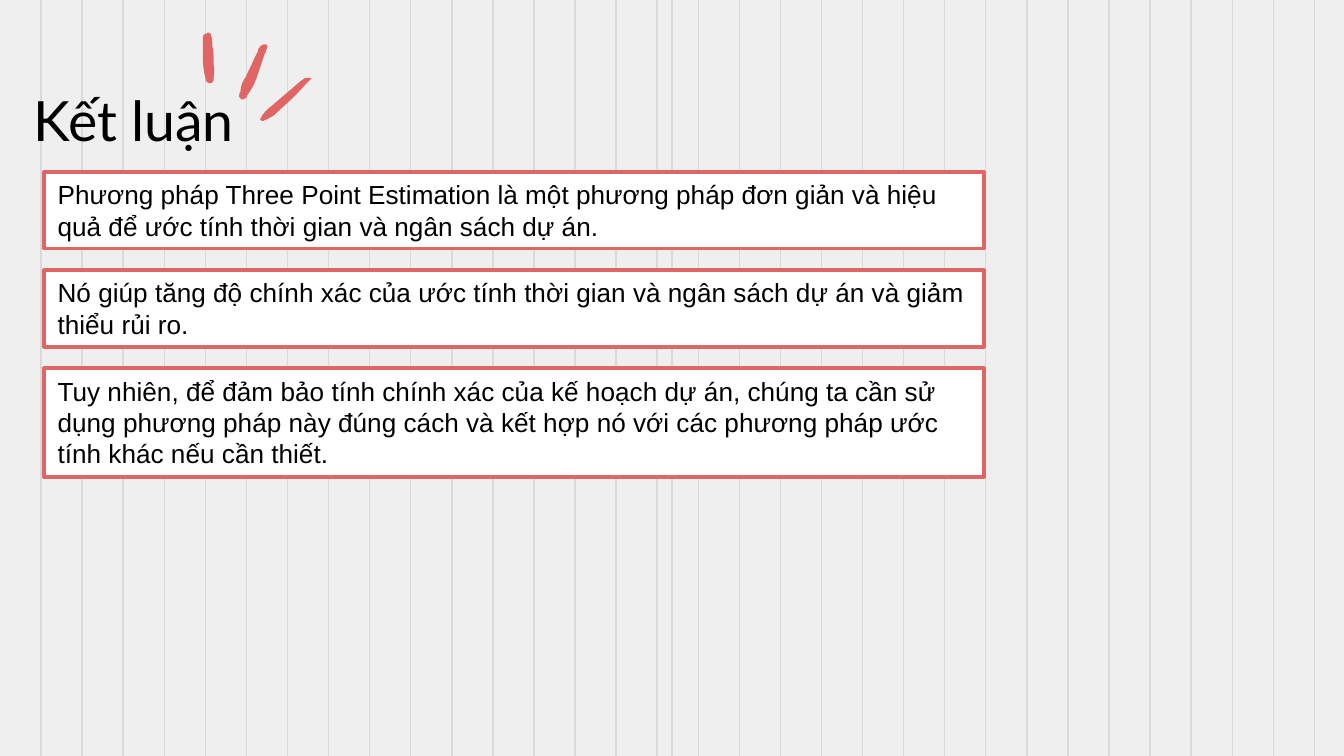
from lxml.etree import SubElement
from pptx import Presentation
from pptx.dml.color import RGBColor
from pptx.enum.shapes import MSO_CONNECTOR, MSO_SHAPE
from pptx.enum.text import MSO_ANCHOR, PP_ALIGN
from pptx.oxml.ns import qn
from pptx.util import Inches, Pt

PAPER = RGBColor(0xEF, 0xEF, 0xEF)
RULE = RGBColor(0xD9, 0xD9, 0xD9)
CORAL = RGBColor(0xE0, 0x66, 0x66)
WHITE = RGBColor(0xFF, 0xFF, 0xFF)
BLACK = RGBColor(0, 0, 0)

TITLE = "Kết luận"
# text, number of lines
NOTES = [
    ("Phương pháp Three Point Estimation là một phương pháp đơn giản và hiệu quả "
     "để ước tính thời gian và ngân sách dự án.", 2),
    ("Nó giúp tăng độ chính xác của ước tính thời gian và ngân sách dự án và giảm "
     "thiểu rủi ro.", 2),
    ("Tuy nhiên, để đảm bảo tính chính xác của kế hoạch dự án, chúng ta cần sử dụng "
     "phương pháp này đúng cách và kết hợp nó với các phương pháp ước tính khác nếu "
     "cần thiết.", 3),
]
# Each stroke: a start point, then one row (two handles, one end) per curve
STROKES = [
    ((1.81, 0.74), [
        (1.82, 0.73, 1.84, 0.73, 1.84, 0.71), (1.87, 0.67, 1.89, 0.63, 1.91, 0.58),
        (1.93, 0.52, 1.95, 0.46, 1.97, 0.40), (1.98, 0.39, 1.98, 0.37, 1.99, 0.35),
        (1.99, 0.34, 1.99, 0.34, 1.98, 0.33), (1.97, 0.33, 1.97, 0.33, 1.96, 0.33),
        (1.95, 0.34, 1.93, 0.34, 1.93, 0.36), (1.92, 0.36, 1.92, 0.37, 1.92, 0.38),
        (1.89, 0.44, 1.86, 0.51, 1.83, 0.57), (1.81, 0.60, 1.79, 0.64, 1.79, 0.68),
        (1.78, 0.69, 1.78, 0.71, 1.78, 0.72), (1.79, 0.73, 1.79, 0.74, 1.80, 0.74)]),
    ((1.56, 0.62), [
        (1.58, 0.62, 1.58, 0.61, 1.59, 0.60), (1.59, 0.56, 1.60, 0.52, 1.59, 0.48),
        (1.59, 0.43, 1.59, 0.38, 1.58, 0.34), (1.58, 0.31, 1.58, 0.29, 1.57, 0.26),
        (1.57, 0.25, 1.57, 0.25, 1.56, 0.25), (1.55, 0.24, 1.55, 0.24, 1.54, 0.25),
        (1.52, 0.25, 1.51, 0.26, 1.51, 0.28), (1.51, 0.32, 1.51, 0.36, 1.51, 0.40),
        (1.51, 0.45, 1.51, 0.49, 1.52, 0.54), (1.52, 0.56, 1.53, 0.57, 1.53, 0.59),
        (1.53, 0.59, 1.53, 0.60, 1.53, 0.60), (1.54, 0.61, 1.55, 0.62, 1.56, 0.62)]),
    ((1.96, 0.90), [
        (1.97, 0.89, 1.99, 0.89, 2.00, 0.88), (2.03, 0.87, 2.06, 0.84, 2.08, 0.82),
        (2.16, 0.75, 2.23, 0.68, 2.30, 0.60), (2.30, 0.60, 2.31, 0.60, 2.31, 0.59),
        (2.32, 0.59, 2.32, 0.58, 2.31, 0.58), (2.30, 0.58, 2.29, 0.58, 2.29, 0.58),
        (2.28, 0.58, 2.27, 0.58, 2.27, 0.58), (2.26, 0.59, 2.24, 0.60, 2.23, 0.61),
        (2.16, 0.67, 2.09, 0.73, 2.02, 0.79), (1.99, 0.81, 1.96, 0.84, 1.94, 0.88),
        (1.93, 0.89, 1.94, 0.89, 1.95, 0.90)]),
]

WIDE = 10
HIGH = WIDE * 9 / 16
COLS, LAST = 32, 9.78
LEFT, TOP, SPAN, GAP = 0.33, 1.28, 6.99, 0.16
PAD, LINE = 0.09, 0.24
STEPS = 4
UNITS = 1000  # freeform units per inch


def trace(start, curves):
    """Return points along a chain of cubic curves, in freeform units."""
    dots = [start]
    for x1, y1, x2, y2, x3, y3 in curves:
        x0, y0 = dots[-1]
        for i in range(1, STEPS + 1):
            t = i / STEPS
            u = 1 - t
            a, b, c, d = u ** 3, 3 * u * u * t, 3 * u * t * t, t ** 3
            dots.append((a * x0 + b * x1 + c * x2 + d * x3,
                         a * y0 + b * y1 + c * y2 + d * y3))
    return [(x * UNITS, y * UNITS) for x, y in dots]


def rule(slide, x):
    line = slide.shapes.add_connector(
        MSO_CONNECTOR.STRAIGHT, Inches(x), 0, Inches(x), Inches(HIGH))
    line.line.color.rgb = RULE
    line.line.width = Pt(0.75)
    SubElement(line._element.spPr, qn("a:effectLst"))


def stroke(slide, start, curves):
    dots = trace(start, curves)
    pen = slide.shapes.build_freeform(*dots[0], scale=Inches(1) / UNITS)
    pen.add_line_segments(dots[1:], close=True)
    mark = pen.convert_to_shape()
    mark.shadow.inherit = False
    mark.fill.solid()
    mark.fill.fore_color.rgb = CORAL
    mark.line.fill.background()


def write(shape, text, font, size):
    frame = shape.text_frame
    frame.word_wrap = True
    frame.vertical_anchor = MSO_ANCHOR.TOP
    para = frame.paragraphs[0]
    para.alignment = PP_ALIGN.LEFT
    run = para.add_run()
    run.text = text
    run.font.name = font
    run.font.size = Pt(size)
    run.font.color.rgb = BLACK


def note(slide, text, top, high):
    box = slide.shapes.add_shape(
        MSO_SHAPE.RECTANGLE, Inches(LEFT), Inches(top), Inches(SPAN), Inches(high))
    box.shadow.inherit = False
    box.fill.solid()
    box.fill.fore_color.rgb = WHITE
    box.line.color.rgb = CORAL
    box.line.width = Pt(2)
    write(box, text, "Arial", 14)


def main():
    deck = Presentation()
    deck.slide_width, deck.slide_height = Inches(WIDE), Inches(HIGH)
    slide = deck.slides.add_slide(deck.slide_layouts[6])
    slide.background.fill.solid()
    slide.background.fill.fore_color.rgb = PAPER

    for col in range(1, COLS + 1):
        rule(slide, LAST * col / COLS)
    rule(slide, WIDE / 2)

    title = slide.shapes.add_textbox(
        Inches(0.15), Inches(0.54), Inches(1.98), Inches(0.63))
    write(title, TITLE, "Lato", 29.7)
    frame = title.text_frame
    frame.margin_top = frame.margin_bottom = Inches(0.1)

    for start, curves in STROKES:
        stroke(slide, start, curves)

    top = TOP
    for text, lines in NOTES:
        high = PAD + LINE * lines
        note(slide, text, top, high)
        top += high + GAP

    deck.save("out.pptx")


if __name__ == "__main__":
    main()
